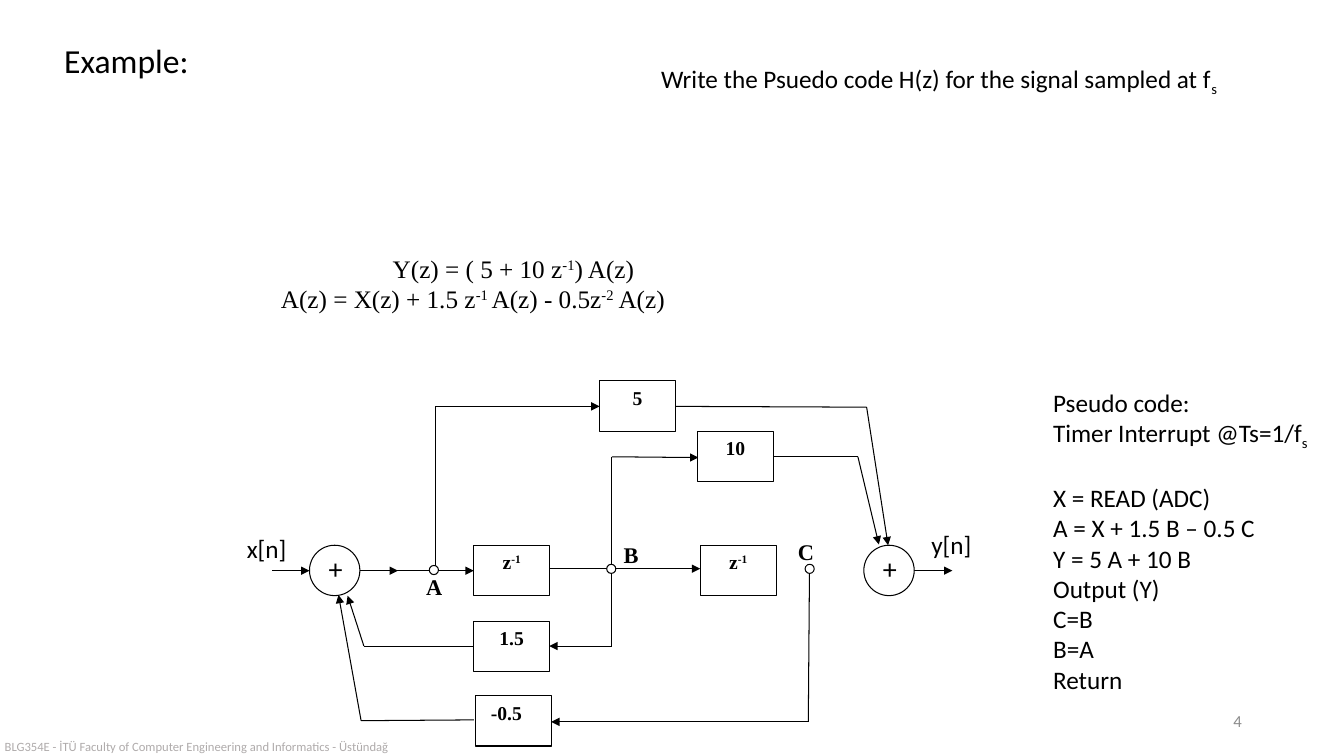
from lxml.etree import SubElement
from pptx import Presentation
from pptx.dml.color import RGBColor
from pptx.enum.shapes import MSO_CONNECTOR, MSO_SHAPE
from pptx.enum.text import MSO_ANCHOR, PP_ALIGN
from pptx.oxml.ns import qn
from pptx.util import Cm, Pt

BLACK, WHITE = "000000", "FFFFFF"
SANS, SERIF = "Calibri", "Times New Roman"
BOX_W, BOX_H, RING, DOT = 1.91, 1.27, 1.27, 0.23

BOXES = [
    (15.11, 9.6, "5"),
    (17.58, 10.87, "10"),
    (11.94, 13.74, "z|-1"),
    (17.65, 13.74, "z|-1"),
    (11.94, 15.65, "1.5"),
]
WIRES = [
    [(6.86, 14.38), (7.8, 14.38)],
    [(9.07, 14.38), (10.03, 14.38)],
    [(9.07, 14.38), (11.94, 14.38)],
    [(10.97, 14.38), (10.97, 10.24), (15.11, 10.24)],
    [(17.02, 10.24), (21.84, 10.26), (22.38, 13.74)],
    [(15.42, 14.33), (15.42, 11.51), (17.6, 11.53)],
    [(19.48, 11.51), (21.62, 11.51), (22.15, 13.72)],
    [(13.84, 14.33), (17.65, 14.33)],
    [(15.42, 14.33), (15.42, 16.28), (13.84, 16.28)],
    [(11.94, 16.28), (9.17, 16.28), (8.76, 15.01)],
    [(20.4, 14.45), (20.37, 18.19), (13.89, 18.19)],
    [(11.94, 18.14), (9.1, 18.16), (8.53, 14.99)],
    [(23.04, 14.38), (24, 14.38)],
]
DOTS = [(10.82, 14.25), (15.29, 14.22), (20.29, 14.22)]
NODES = [(10.49, 14.33, "A"), (15.47, 13.51, "B"), (19.86, 13.44, "C")]
CODE = [
    "Pseudo code:", "Timer Interrupt @Ts=1/f|s", "X = READ (ADC)",
    "A = X + 1.5 B – 0.5 C", "Y = 5 A + 10 B", "Output (Y)", "C=B", "B=A",
    "Return",
]


def paint(color):
    """Turn a hex string into a colour."""
    return RGBColor.from_string(color)


def write(frame, lines, size, font, color=BLACK, bold=False, align=PP_ALIGN.LEFT):
    """Fill a frame with lines, where | opens and closes a raised or lowered part."""
    for i, line in enumerate(lines):
        para = frame.add_paragraph() if i else frame.paragraphs[0]
        first, *rest = line.split("|")
        para.text = first
        para.alignment = align
        for part in rest:
            para.add_run().text = part
        for j, run in enumerate(para.runs):
            run.font.size = Pt(size)
            run.font.name = font
            run.font.bold = bold
            run.font.color.rgb = paint(color)
            if j % 2:
                shift = "-25000" if run.text == "s" else "30000"
                run.font._element.set("baseline", shift)


def label(slide, at, lines, size, font=SANS, wrap=False, **style):
    """Add a text box and return its frame."""
    frame = slide.shapes.add_textbox(*map(Cm, at)).text_frame
    frame.word_wrap = wrap
    write(frame, lines, size, font, **style)
    return frame


def outline(slide, kind, at):
    """Add a white shape with a thin black edge."""
    shape = slide.shapes.add_shape(kind, *map(Cm, at))
    shape.shadow.inherit = False
    shape.fill.solid()
    shape.fill.fore_color.rgb = paint(WHITE)
    shape.line.color.rgb = paint(BLACK)
    shape.line.width = Pt(0.75)
    return shape


def block(slide, left, top, text, align=PP_ALIGN.CENTER):
    """Add a gain or delay box and return its frame."""
    shape = outline(slide, MSO_SHAPE.RECTANGLE, (left, top, BOX_W, BOX_H))
    frame = shape.text_frame
    frame.vertical_anchor = MSO_ANCHOR.TOP
    write(frame, [text], 14, SERIF, bold=True, align=align)
    return frame


def wire(slide, points):
    """Join points with straight lines and put an arrowhead on the last."""
    for start, end in zip(points, points[1:]):
        ends = map(Cm, start + end)
        line = slide.shapes.add_connector(MSO_CONNECTOR.STRAIGHT, *ends)
        line.line.color.rgb = paint(BLACK)
        line.line.width = Pt(0.75)
        props = line._element.spPr
        if end == points[-1]:
            SubElement(props.find(qn("a:ln")), qn("a:tailEnd"), type="triangle")
        SubElement(props, qn("a:effectLst"))


def indent(para, width):
    """Move a paragraph in from the left."""
    para._p.get_or_add_pPr().set("marL", str(Cm(width)))


def graph(slide):
    """Draw the signal flow graph."""
    for points in WIRES:
        wire(slide, points)
    for left, top, text in BOXES:
        block(slide, left, top, text)
    gain = block(slide, 11.99, 17.53, "-0.5", PP_ALIGN.LEFT)
    indent(gain.paragraphs[0], 0.13)
    for left in (7.8, 21.77):
        outline(slide, MSO_SHAPE.OVAL, (left, 13.74, RING, RING))
        label(slide, (left + 0.23, 13.78, 0.86, 1.12), ["+"], 20)
    for left, top in DOTS:
        outline(slide, MSO_SHAPE.OVAL, (left, top, DOT, DOT))
    for left, top, name in NODES:
        label(slide, (left, top, 0.97, 0.97), [name], 16, SERIF, True, bold=True)
    label(slide, (5.97, 13.31, 1.52, 1.02), ["x[n]"], 18)
    label(slide, (23.22, 13.21, 1.52, 1.02), ["y[n]"], 18)


def main():
    """Build the slide and save it."""
    deck = Presentation()
    deck.slide_width, deck.slide_height = Cm(33.87), Cm(19.05)
    slide = deck.slides.add_slide(deck.slide_layouts[6])
    label(slide, (1.37, 0.89, 3.68, 1.27), ["Example:"], 24)
    task = "Write the Psuedo code H(z) for the signal sampled at f|s"
    label(slide, (16.41, 1.47, 14.83, 1.02), [task], 18)
    sums = ["Y(z) = ( 5 + 10 z|-1|) A(z)",
            "A(z) = X(z) + 1.5 z|-1 |A(z) - 0.5z|-2| A(z)"]
    frame = label(slide, (4.47, 6.25, 16.94, 1.8), sums, 18, SERIF, True)
    frame.paragraphs[0].alignment = PP_ALIGN.CENTER
    indent(frame.paragraphs[1], 2.36)
    graph(slide)
    frame = label(slide, (26.29, 9.63, 7.09, 7.95), CODE, 18, wrap=True)
    frame.paragraphs[2].space_before = Pt(22)
    frame = label(slide, (23.93, 17.65, 7.62, 1.02), ["4"], 12, wrap=True,
                  color="8C8C8C", align=PP_ALIGN.RIGHT)
    frame.vertical_anchor = MSO_ANCHOR.MIDDLE
    course = "BLG354E - İTÜ Faculty of Computer Engineering and Informatics - Üstündağ"
    label(slide, (-0.13, 18.49, 16.94, 0.64), [course], 9, wrap=True, color="AFABAB")
    deck.save("out.pptx")


if __name__ == "__main__":
    main()
